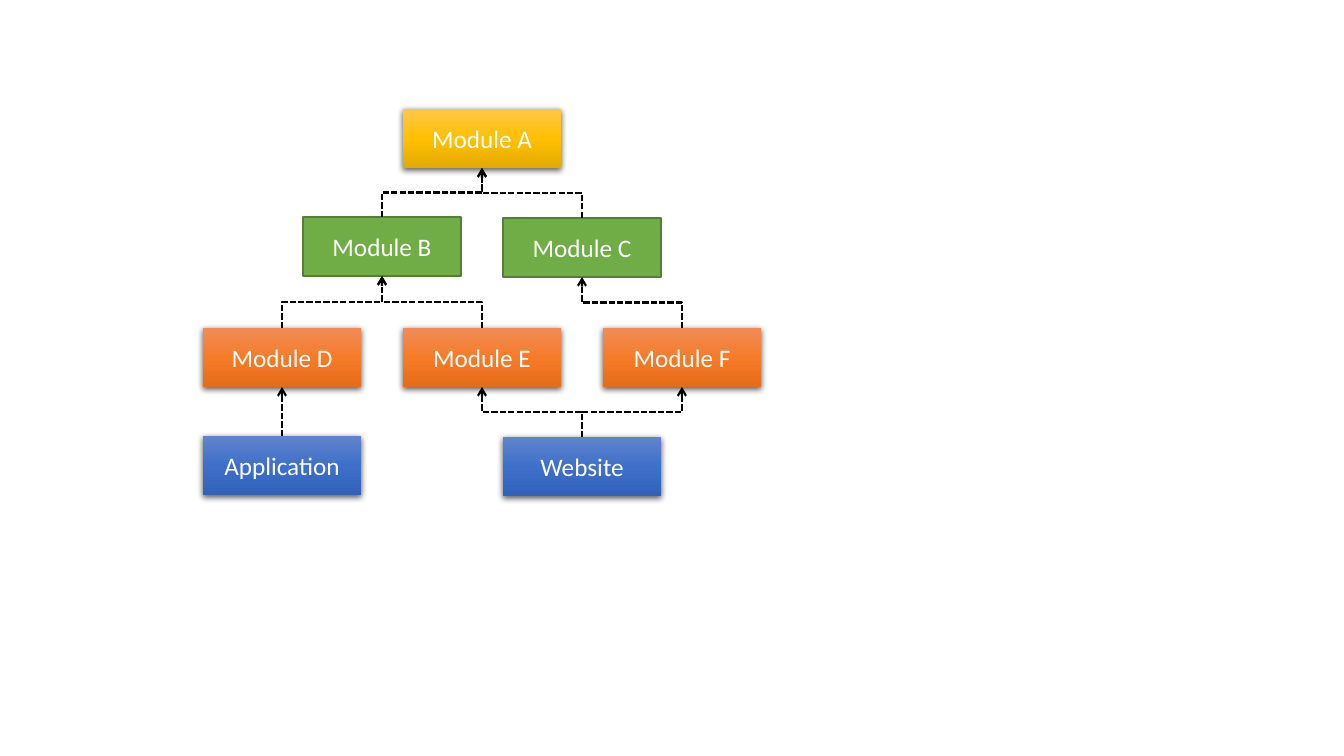
"""Build a slide with a module dependency tree."""

from dataclasses import dataclass

import lxml.etree
import pptx
import pptx.dml.color
import pptx.enum.dml
import pptx.enum.shapes
import pptx.enum.text
import pptx.oxml.ns
import pptx.shapes.autoshape
import pptx.slide
import pptx.util

EMU_PER_PIXEL = 914400 / 100.8
SLIDE_WIDTH, SLIDE_HEIGHT = 1344, 756
BOX_WIDTH, BOX_HEIGHT = 158, 59
FIRST_LEFT, COLUMN_STEP = 203, 100
TOP_SITE, BOTTOM_SITE = 0, 2
QUARTER_TURN = 90 * 60000

YELLOW = ("FFC64B", "FFC000", "E3AB00")
GREEN = ("70AD47",)
ORANGE = ("F18C57", "F67B28", "E56C19")
BLUE = ("6183CB", "3E70CA", "3062BB")


@dataclass(frozen=True)
class Module:
    """A labelled box; several colours make a shaded gradient."""

    label: str
    column: int
    top: int
    colors: tuple[str, ...]


@dataclass(frozen=True)
class Dependency:
    """An arrow from a lower box up to the box it relies on."""

    user: str
    used: str


MODULES = [
    Module("Module A", 2, 109, YELLOW),
    Module("Module B", 1, 217, GREEN),
    Module("Module C", 3, 218, GREEN),
    Module("Module D", 0, 328, ORANGE),
    Module("Module F", 4, 328, ORANGE),
    Module("Module E", 2, 328, ORANGE),
    Module("Application", 0, 436, BLUE),
    Module("Website", 3, 437, BLUE),
]

DEPENDENCIES = [
    Dependency("Module B", "Module A"),
    Dependency("Module C", "Module A"),
    Dependency("Module D", "Module B"),
    Dependency("Module E", "Module B"),
    Dependency("Module F", "Module C"),
    Dependency("Website", "Module F"),
    Dependency("Website", "Module E"),
    Dependency("Application", "Module D"),
]


def px(pixels: int) -> pptx.util.Emu:
    """Turn pixels into EMU."""
    return pptx.util.Emu(round(pixels * EMU_PER_PIXEL))


def rgb(color: str) -> pptx.dml.color.RGBColor:
    """Turn a hex string into a colour."""
    return pptx.dml.color.RGBColor.from_string(color)


def add_child(parent: lxml.etree._Element, tag: str, **attributes: str) -> lxml.etree._Element:
    """Append a DrawingML element to its parent."""
    return lxml.etree.SubElement(parent, pptx.oxml.ns.qn(tag), attributes)


def shade(shape: pptx.shapes.autoshape.Shape, colors: tuple[str, ...]) -> None:
    """Give a box a vertical gradient and a soft shadow below."""
    shape.fill.gradient()
    shape.fill.gradient_angle = 270
    properties = shape.element.spPr
    stops = properties.find(".//" + pptx.oxml.ns.qn("a:gsLst"))
    stops.clear()
    for index, color in enumerate(colors):
        position = 100000 * index // (len(colors) - 1)
        add_child(add_child(stops, "a:gs", pos=str(position)), "a:srgbClr", val=color)
    shape.line.fill.background()
    effects = properties.find(pptx.oxml.ns.qn("a:effectLst"))
    shadow = add_child(effects, "a:outerShdw", blurRad="57150", dist="19050",
                       dir=str(QUARTER_TURN), algn="ctr", rotWithShape="0")
    add_child(add_child(shadow, "a:srgbClr", val="000000"), "a:alpha", val="63000")


def add_module(slide: pptx.slide.Slide, module: Module) -> pptx.shapes.autoshape.Shape:
    """Draw one box with its label."""
    shape = slide.shapes.add_shape(
        pptx.enum.shapes.MSO_SHAPE.RECTANGLE,
        px(FIRST_LEFT + module.column * COLUMN_STEP), px(module.top),
        px(BOX_WIDTH), px(BOX_HEIGHT))
    shape.shadow.inherit = False
    if len(module.colors) > 1:
        shade(shape, module.colors)
    else:
        shape.fill.solid()
        shape.fill.fore_color.rgb = rgb(module.colors[0])
        shape.line.color.rgb = rgb("538035")
        shape.line.width = pptx.util.Pt(1)
    shape.text_frame.text = module.label
    shape.text_frame.vertical_anchor = pptx.enum.text.MSO_ANCHOR.MIDDLE
    paragraph = shape.text_frame.paragraphs[0]
    paragraph.alignment = pptx.enum.text.PP_ALIGN.CENTER
    paragraph.font.name = "Calibri"
    paragraph.font.size = pptx.util.Pt(18)
    paragraph.font.color.rgb = rgb("FFFFFF")
    return shape


def add_dependency(slide: pptx.slide.Slide, user: pptx.shapes.autoshape.Shape,
                   used: pptx.shapes.autoshape.Shape) -> None:
    """Draw a dashed arrow up from one box to another, bent if they are offset."""
    is_bent = user.left != used.left
    kinds = pptx.enum.shapes.MSO_CONNECTOR
    connector = slide.shapes.add_connector(
        kinds.ELBOW if is_bent else kinds.STRAIGHT,
        user.left, user.top, used.left, used.top)
    connector.begin_connect(user, TOP_SITE)
    connector.end_connect(used, BOTTOM_SITE)
    properties = connector.element.spPr
    if is_bent:
        # A turned elbow leaves and arrives vertically around the same centre.
        width, height = connector.width, connector.height
        connector.left += (width - height) // 2
        connector.top += (height - width) // 2
        connector.width, connector.height = height, width
        goes_right = used.left > user.left
        frame = properties.find(pptx.oxml.ns.qn("a:xfrm"))
        frame.set("rot", str(QUARTER_TURN * (1 if goes_right else 3)))
        frame.set("flipH", "1" if goes_right else "0")
        frame.set("flipV", "1")
    connector.line.color.rgb = rgb("000000")
    connector.line.width = pptx.util.Pt(1.5)
    connector.line.dash_style = pptx.enum.dml.MSO_LINE.SQUARE_DOT
    add_child(properties.find(pptx.oxml.ns.qn("a:ln")), "a:tailEnd", type="arrow")
    add_child(properties, "a:effectLst")


def main() -> None:
    """Build and save the presentation."""
    presentation = pptx.Presentation()
    presentation.slide_width = px(SLIDE_WIDTH)
    presentation.slide_height = px(SLIDE_HEIGHT)
    slide = presentation.slides.add_slide(presentation.slide_layouts[6])
    boxes = {module.label: add_module(slide, module) for module in MODULES}
    for dependency in DEPENDENCIES:
        add_dependency(slide, boxes[dependency.user], boxes[dependency.used])
    presentation.save("out.pptx")


main()
